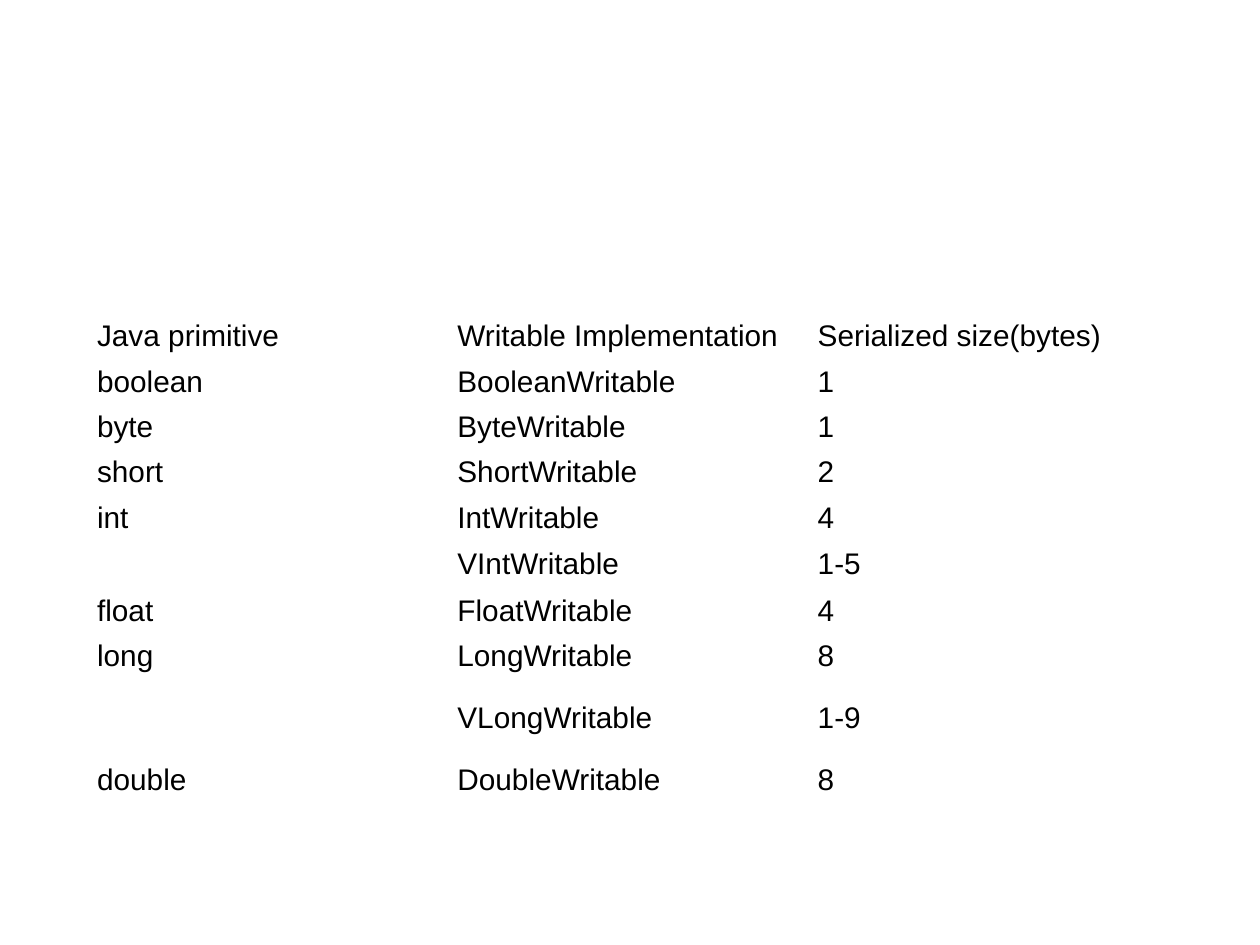
from dataclasses import dataclass

from pptx import Presentation
from pptx.dml.color import RGBColor
from pptx.enum.text import MSO_ANCHOR
from pptx.util import Inches, Pt

ROWS = [
    ("Java primitive", "Writable Implementation", "Serialized size(bytes)"),
    ("boolean", "BooleanWritable", "1"),
    ("byte", "ByteWritable", "1"),
    ("short", "ShortWritable", "2"),
    ("int", "IntWritable", "4"),
    ("", "VIntWritable", "1-5"),
    ("float", "FloatWritable", "4"),
    ("long", "LongWritable", "8"),
    ("", "VLongWritable", "1-9"),
    ("double", "DoubleWritable", "8"),
]
ROW_HEIGHT = 0.36
TALL_ROWS = {"VIntWritable": 0.38, "VLongWritable": 0.62}
COLUMN_WIDTH = 2.86
TABLE_LEFT, TABLE_TOP = 0.67, 2.49


@dataclass(frozen=True)
class Theme:
    """Colours and type of the slide."""
    font: str = "Arial"
    size: Pt = Pt(17)
    ink: RGBColor = RGBColor(0, 0, 0)
    paper: RGBColor = RGBColor(255, 255, 255)


THEME = Theme()


def fill_cell(cell, text):
    """Write one table cell in the slide's type on a plain ground."""
    cell.fill.solid()
    cell.fill.fore_color.rgb = THEME.paper
    cell.vertical_anchor = MSO_ANCHOR.MIDDLE
    cell.margin_top = cell.margin_bottom = Inches(0.04)
    cell.text = text
    font = cell.text_frame.paragraphs[0].font
    font.name, font.size, font.bold = THEME.font, THEME.size, False
    font.color.rgb = THEME.ink


def add_type_table(page):
    """Add the table of primitive types and their wrappers."""
    heights = [TALL_ROWS.get(row[1], ROW_HEIGHT) for row in ROWS]
    columns = len(ROWS[0])
    table = page.shapes.add_table(
        len(ROWS), columns, Inches(TABLE_LEFT), Inches(TABLE_TOP),
        Inches(columns * COLUMN_WIDTH), Inches(sum(heights))).table
    table.first_row = table.horz_banding = False
    for column in table.columns:
        column.width = Inches(COLUMN_WIDTH)
    for row, height, texts in zip(table.rows, heights, ROWS):
        row.height = Inches(height)
        for cell, text in zip(row.cells, texts):
            fill_cell(cell, text)


deck = Presentation()
deck.slide_width, deck.slide_height = Inches(10), Inches(7.5)
page = deck.slides.add_slide(deck.slide_layouts[6])
add_type_table(page)
deck.save("out.pptx")
